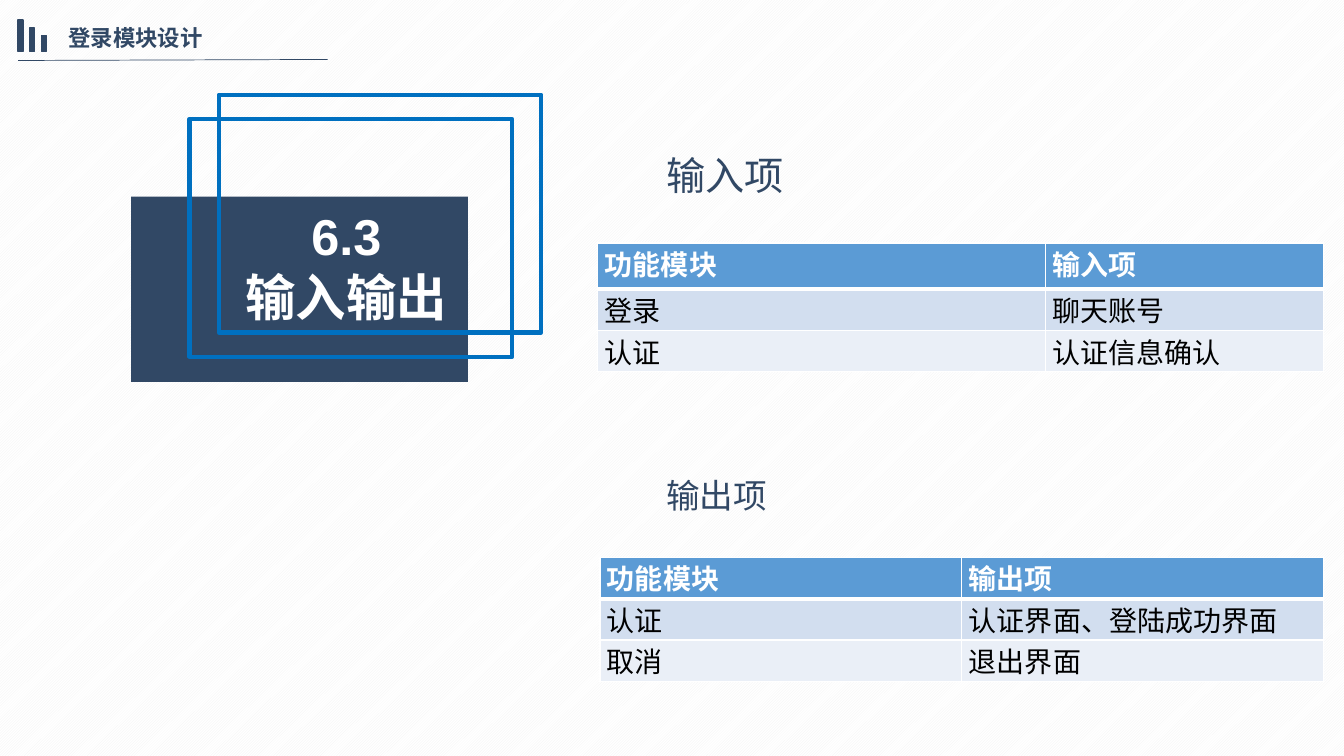
from lxml import etree
from pptx import Presentation
from pptx import util as u
from pptx.dml.color import RGBColor
from pptx.enum import dml, shapes, text
from pptx.oxml.ns import qn

COLORS = {
    "navy": "314865", "frame": "0070C0", "white": "FFFFFF", "black": "000000",
    "stripe": "F2F2F2", "header": "5B9BD5", "band_dark": "D2DEEF", "band_light": "EAEFF7",
}
ALIGN = text.PP_ALIGN


def rgb(name):
    return RGBColor.from_string(COLORS[name])


def box_of(*inches):
    return [u.Inches(v) for v in inches]


def write(tf, *lines, size, color, font="Arial", bold=False, align=None):
    for i, line in enumerate(lines):
        p = tf.paragraphs[0] if i == 0 else tf.add_paragraph()
        p.alignment = align
        r = p.add_run()
        r.text = line
        r.font.size, r.font.name, r.font.bold = u.Pt(size), font, bold
        r.font.color.rgb = rgb(color)


def textbox(s, box, *lines, **fmt):
    tf = s.shapes.add_textbox(*box_of(*box)).text_frame
    tf.word_wrap = True
    tf.auto_size = text.MSO_AUTO_SIZE.SHAPE_TO_FIT_TEXT
    write(tf, *lines, **fmt)


def rect(s, box, fill=None, line=None, width=1):
    sp = s.shapes.add_shape(shapes.MSO_SHAPE.RECTANGLE, *box_of(*box))
    sp.shadow.inherit = False
    if fill:
        sp.fill.solid()
        sp.fill.fore_color.rgb = rgb(fill)
    else:
        sp.fill.background()
    if line:
        sp.line.color.rgb = rgb(line)
        sp.line.width = u.Pt(width)
    else:
        sp.line.fill.background()


def background(s):
    fill = s.background.fill
    fill.patterned()
    fill.pattern = dml.MSO_PATTERN.DARK_UPWARD_DIAGONAL
    fill.fore_color.rgb = rgb("stripe")
    fill.back_color.rgb = rgb("white")


def page_header(s, x, y):
    """Title with three bars to its left and a thin rule below."""
    title = s.shapes.title
    title.left, title.top, title.width, title.height = box_of(x + 0.4, y, 2.66, 0.37)
    tf = title.text_frame
    tf.word_wrap = True
    tf.auto_size = text.MSO_AUTO_SIZE.SHAPE_TO_FIT_TEXT
    tf.vertical_anchor = text.MSO_ANCHOR.TOP
    write(tf, "登录模块设计", size=16, color="navy", bold=True, align=ALIGN.JUSTIFY)

    for i, height in enumerate((0.31, 0.23, 0.16)):
        rect(s, (x + 0.115 * i, y + 0.32 - height, 0.05, height), "navy", "navy")

    rule = s.shapes.add_connector(
        shapes.MSO_CONNECTOR.STRAIGHT, *box_of(x, y + 0.41, x + 3.07, y + 0.4))
    rule.line.color.rgb = rgb("navy")
    rule.line.width = u.Pt(0.5)
    etree.SubElement(rule._element.spPr, qn("a:effectLst"))


def section_badge(s, x, y):
    """Solid block with the section name and two offset frames."""
    rect(s, (x, y, 3.34, 1.84), "navy")
    rect(s, (x + 0.58, y - 0.77, 3.2, 2.36), line="frame", width=3)
    textbox(s, (x + 0.87, y + 0.04, 2.53, 1.31), "6.3", "输入输出",
            size=36, color="white", bold=True, align=ALIGN.CENTER)
    rect(s, (x + 0.87, y - 1.01, 3.2, 2.36), line="frame", width=3)


def cell_borders(cell, bottom):
    tc_pr = cell._tc.get_or_add_tcPr()
    for i, (side, width) in enumerate((("L", 1), ("R", 1), ("T", 1), ("B", bottom))):
        ln = etree.Element(qn(f"a:ln{side}"), w=str(u.Pt(width)))
        fill = etree.SubElement(ln, qn("a:solidFill"))
        etree.SubElement(fill, qn("a:srgbClr"), val=COLORS["white"])
        tc_pr.insert(i, ln)


def item_table(s, x, y, rows, col_widths, row_heights):
    table = s.shapes.add_table(
        len(rows), len(col_widths),
        *box_of(x, y, sum(col_widths), sum(row_heights))).table
    for col, width in zip(table.columns, col_widths):
        col.width = u.Inches(width)
    for i, (row, height) in enumerate(zip(rows, row_heights)):
        table.rows[i].height = u.Inches(height)
        head = i == 0
        for j, value in enumerate(row):
            cell = table.cell(i, j)
            cell.margin_left = cell.margin_right = u.Inches(0.07)
            cell.margin_top = cell.margin_bottom = 0
            cell.fill.solid()
            cell.fill.fore_color.rgb = rgb(
                "header" if head else "band_dark" if i % 2 else "band_light")
            cell_borders(cell, 3 if head or i == 0 else 1)
            write(cell.text_frame, value, size=20, bold=head,
                  color="white" if head else "black", align=ALIGN.JUSTIFY)


def main():
    prs = Presentation()
    prs.slide_width, prs.slide_height = box_of(13.33, 7.5)
    s = prs.slides.add_slide(prs.slide_layouts.get_by_name("Title Only"))
    background(s)
    section_badge(s, 1.3, 1.95)
    page_header(s, 0.18, 0.19)

    textbox(s, (6.51, 1.45, 1.51, 0.57), "输入项", size=28, color="navy", font="Lato")
    item_table(s, 5.93, 2.41,
               [("功能模块", "输入项"), ("登录", "聊天账号"), ("认证", "认证信息确认")],
               (4.44, 2.76), (0.46, 0.41, 0.41))

    textbox(s, (6.51, 4.66, 1.8, 0.5), "输出项", size=24, color="navy", font="Lato")
    item_table(s, 5.95, 5.53,
               [("功能模块", "输出项"), ("认证", "认证界面、登陆成功界面"), ("取消", "退出界面")],
               (3.59, 3.59), (0.41, 0.41, 0.41))
    prs.save("out.pptx")


if __name__ == "__main__":
    main()
